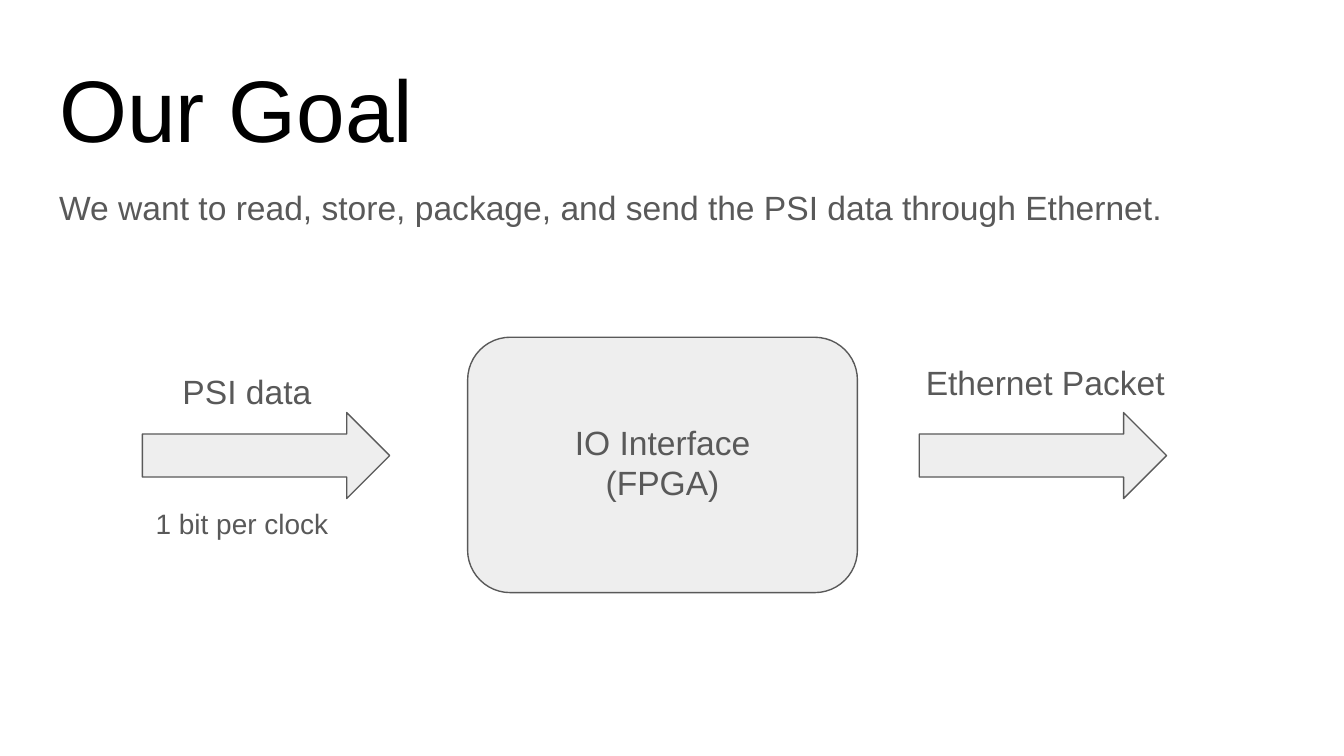
"""Build the goal slide: PSI data flows through an FPGA interface to Ethernet."""
from dataclasses import dataclass

from pptx import Presentation
from pptx.dml.color import RGBColor
from pptx.enum.shapes import MSO_SHAPE
from pptx.enum.text import MSO_ANCHOR, MSO_AUTO_SIZE, PP_ALIGN
from pptx.shapes.autoshape import Shape
from pptx.slide import Slide
from pptx.util import Inches, Pt

ARROW, ROUNDED = MSO_SHAPE.RIGHT_ARROW, MSO_SHAPE.ROUNDED_RECTANGLE
TOP, BOTTOM = MSO_ANCHOR.TOP, MSO_ANCHOR.BOTTOM
LEFT, CENTER = PP_ALIGN.LEFT, PP_ALIGN.CENTER
NO_FIT = MSO_AUTO_SIZE.NONE


@dataclass(frozen=True)
class Theme:
    font: str = "Arial"
    title: RGBColor = RGBColor(0, 0, 0)
    text: RGBColor = RGBColor(0x59, 0x59, 0x59)
    fill: RGBColor = RGBColor(0xEE, 0xEE, 0xEE)
    title_size: float = 46.8
    body_size: float = 18
    note_size: float = 15
    line_width: float = 0.75
    inset: float = 0.1


@dataclass(frozen=True)
class Box:
    left: float
    top: float
    width: float
    height: float

    def lengths(self) -> tuple[int, int, int, int]:
        """Give the box as slide lengths."""
        return (Inches(self.left), Inches(self.top),
                Inches(self.width), Inches(self.height))


@dataclass(frozen=True)
class Block:
    kind: int
    box: Box
    adjustments: tuple[float, ...]


@dataclass(frozen=True)
class Label:
    lines: tuple[str, ...]
    box: Box
    size: float
    align: int = LEFT


THEME = Theme()
BLOCKS = (
    Block(ARROW, Box(1.06, 3.07, 1.84, 0.64), (0.5, 0.5)),
    Block(ROUNDED, Box(3.48, 2.51, 2.9, 1.9), (0.167,)),
    Block(ARROW, Box(6.84, 3.07, 1.84, 0.64), (0.5, 0.5)),
)
LABELS = (
    Label(("PSI data",), Box(1.26, 2.66, 1.64, 0.49), THEME.body_size),
    Label(("1 bit per clock",), Box(1.06, 3.67, 1.84, 0.74), THEME.note_size),
    Label(("IO Interface", "(FPGA)"), Box(4.14, 3.04, 1.58, 0.82),
          THEME.body_size, CENTER),
    Label(("Ethernet Packet",), Box(6.79, 2.59, 2.14, 0.49), THEME.body_size),
)


def write(sp: Shape, label: Label, color: RGBColor, anchor: int = TOP) -> None:
    """Fill a shape's text frame with the lines of a label."""
    tf = sp.text_frame
    tf.word_wrap = True
    tf.auto_size = NO_FIT
    tf.vertical_anchor = anchor
    tf.margin_left = tf.margin_right = Inches(THEME.inset)
    tf.margin_top = tf.margin_bottom = Inches(THEME.inset)
    for i, line in enumerate(label.lines):
        p = tf.add_paragraph() if i else tf.paragraphs[0]
        p.alignment = label.align
        p.space_before = Pt(0)
        r = p.add_run()
        r.text = line
        r.font.name = THEME.font
        r.font.size = Pt(label.size)
        r.font.color.rgb = color


def fill_placeholder(sp: Shape, label: Label, color: RGBColor, anchor: int) -> None:
    """Move a placeholder to its box and write its text."""
    sp.left, sp.top, sp.width, sp.height = label.box.lengths()
    write(sp, label, color, anchor)


def add_block(s: Slide, block: Block) -> None:
    """Draw one outlined preset shape of the diagram."""
    sp = s.shapes.add_shape(block.kind, *block.box.lengths())
    for i, value in enumerate(block.adjustments):
        sp.adjustments[i] = value
    sp.shadow.inherit = False
    sp.fill.solid()
    sp.fill.fore_color.rgb = THEME.fill
    sp.line.color.rgb = THEME.text
    sp.line.width = Pt(THEME.line_width)


def add_label(s: Slide, label: Label) -> None:
    """Draw one text box of the diagram."""
    write(s.shapes.add_textbox(*label.box.lengths()), label, THEME.text)


def main() -> None:
    """Build and save the presentation."""
    prs = Presentation()
    prs.slide_width = Inches(10)
    prs.slide_height = Inches(10 * 9 / 16)
    s = prs.slides.add_slide(prs.slide_layouts[0])
    title = Label(("Our Goal",), Box(0.34, 0.3, 4.66, 0.99), THEME.title_size)
    goal = Label(
        ("We want to read, store, package, and send the PSI data through Ethernet.",),
        Box(0.34, 1.29, 10.18, 0.64), THEME.body_size)
    fill_placeholder(s.shapes.title, title, THEME.title, BOTTOM)
    fill_placeholder(s.placeholders[1], goal, THEME.text, TOP)
    for block in BLOCKS:
        add_block(s, block)
    for label in LABELS:
        add_label(s, label)
    prs.save("out.pptx")


if __name__ == "__main__":
    main()
